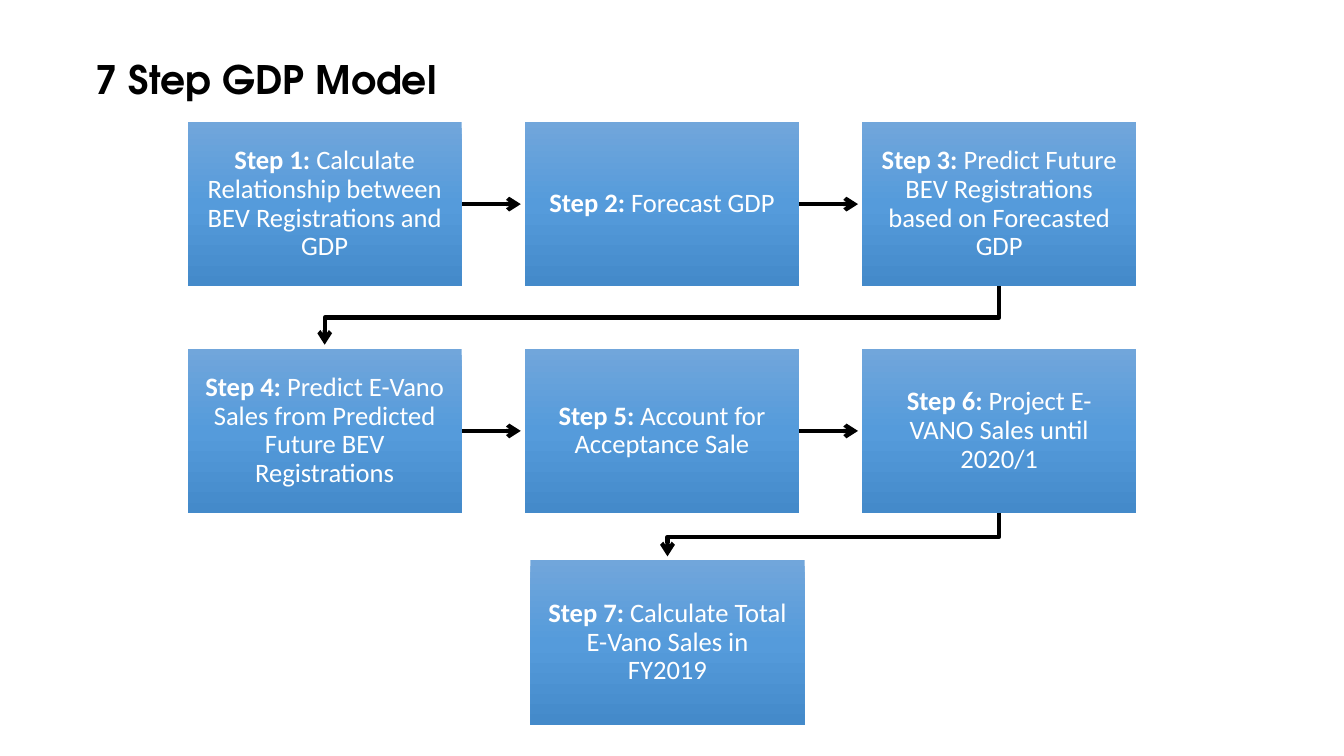
from copy import deepcopy
from dataclasses import dataclass

from pptx import Presentation
from pptx.dml.color import RGBColor
from pptx.enum.shapes import MSO_CONNECTOR, MSO_SHAPE
from pptx.enum.text import MSO_ANCHOR, MSO_AUTO_SIZE, PP_ALIGN
from pptx.oxml.ns import qn
from pptx.util import Inches, Pt
from lxml import etree

RECT = MSO_SHAPE.RECTANGLE
STRAIGHT = MSO_CONNECTOR.STRAIGHT
LEFT, CENTER = PP_ALIGN.LEFT, PP_ALIGN.CENTER
MIDDLE = MSO_ANCHOR.MIDDLE
NO_AUTOFIT = MSO_AUTO_SIZE.NONE


@dataclass(frozen=True)
class Theme:
    black = RGBColor(0x00, 0x00, 0x00)
    white = RGBColor(0xFF, 0xFF, 0xFF)
    box_stops = ((0, "71A6DB"), (0.5, "559BDB"), (1, "448ACA"))
    title_font, title_size = "TeX Gyre Adventor", Pt(28)
    body_font, body_size = "Calibri", Pt(19)
    arrow_width = Pt(3)


theme = Theme()

# Grid of step boxes, in inches
BOX_W, BOX_H = 2.72, 1.63
COLS = [1.86 + 3.345 * i for i in range(3)]
ROWS = [1.21, 3.46]
LAST_X, LAST_Y = 5.26, 5.56
TIP_GAP = 0.04

STEPS = [
    "Calculate Relationship between BEV Registrations and GDP",
    "Forecast GDP",
    "Predict Future BEV Registrations based on Forecasted GDP",
    "Predict E-Vano Sales from Predicted Future BEV Registrations",
    "Account for Acceptance Sale",
    "Project E-VANO Sales until 2020/1",
    "Calculate Total E-Vano Sales in FY2019",
]
spots = [(x, y) for y in ROWS for x in COLS] + [(LAST_X, LAST_Y)]


def add_run(p, text, font, size, color, bold):
    r = p.add_run()
    r.text = text
    r.font.name, r.font.size, r.font.bold = font, size, bold
    r.font.color.rgb = color


def style_arrow(sp):
    sp.line.color.rgb = theme.black
    sp.line.width = theme.arrow_width
    spPr = sp._element.spPr
    etree.SubElement(spPr.find(qn("a:ln")), qn("a:tailEnd"), type="arrow")
    if spPr.find(qn("a:effectLst")) is None:
        etree.SubElement(spPr, qn("a:effectLst"))


prs = Presentation()
prs.slide_width, prs.slide_height = Inches(13.33), Inches(7.5)
s = prs.slides.add_slide(prs.slide_layouts[5])

# Title
title = s.shapes.title
title.left, title.top = Inches(0.85), Inches(0.5)
title.width, title.height = Inches(4.3), Inches(0.57)
tf = title.text_frame
tf.auto_size = NO_AUTOFIT
tf.vertical_anchor = MIDDLE
p = tf.paragraphs[0]
p.alignment = LEFT
add_run(p, "7 Step GDP Model", theme.title_font, theme.title_size, theme.black, True)

# Arrows: straight along a row, bent down to the next row
for (x, y), (next_x, next_y) in zip(spots, spots[1:]):
    if y == next_y:
        mid_y = Inches(y + BOX_H / 2)
        arrow = s.shapes.add_connector(
            STRAIGHT, Inches(x + BOX_W), mid_y, Inches(next_x - TIP_GAP), mid_y)
    else:
        start_x, end_x = Inches(x + BOX_W / 2), Inches(next_x + BOX_W / 2)
        bend_y = Inches((y + BOX_H + next_y) / 2)
        path = s.shapes.build_freeform(start_x, Inches(y + BOX_H))
        path.add_line_segments(
            [(start_x, bend_y), (end_x, bend_y), (end_x, Inches(next_y - TIP_GAP))],
            close=False)
        arrow = path.convert_to_shape()
        arrow.fill.background()
    style_arrow(arrow)

# Step boxes
for number, ((x, y), label) in enumerate(zip(spots, STEPS), 1):
    sp = s.shapes.add_shape(RECT, Inches(x), Inches(y), Inches(BOX_W), Inches(BOX_H))
    sp.shadow.inherit = False
    sp.line.fill.background()
    sp.fill.gradient()
    sp.fill.gradient_angle = 270
    stops = sp._element.spPr.find(qn("a:gradFill")).find(qn("a:gsLst"))
    stops.append(deepcopy(stops[0]))
    for stop, (position, color) in zip(sp.fill.gradient_stops, theme.box_stops):
        stop.position = position
        stop.color.rgb = RGBColor.from_string(color)

    tf = sp.text_frame
    tf.word_wrap = True
    tf.vertical_anchor = MIDDLE
    tf.margin_left = tf.margin_right = tf.margin_top = tf.margin_bottom = Inches(0.15)
    p = tf.paragraphs[0]
    p.alignment = CENTER
    p.line_spacing = 0.9
    add_run(p, f"Step {number}: ", theme.body_font, theme.body_size, theme.white, True)
    add_run(p, label, theme.body_font, theme.body_size, theme.white, False)

prs.save("out.pptx")
